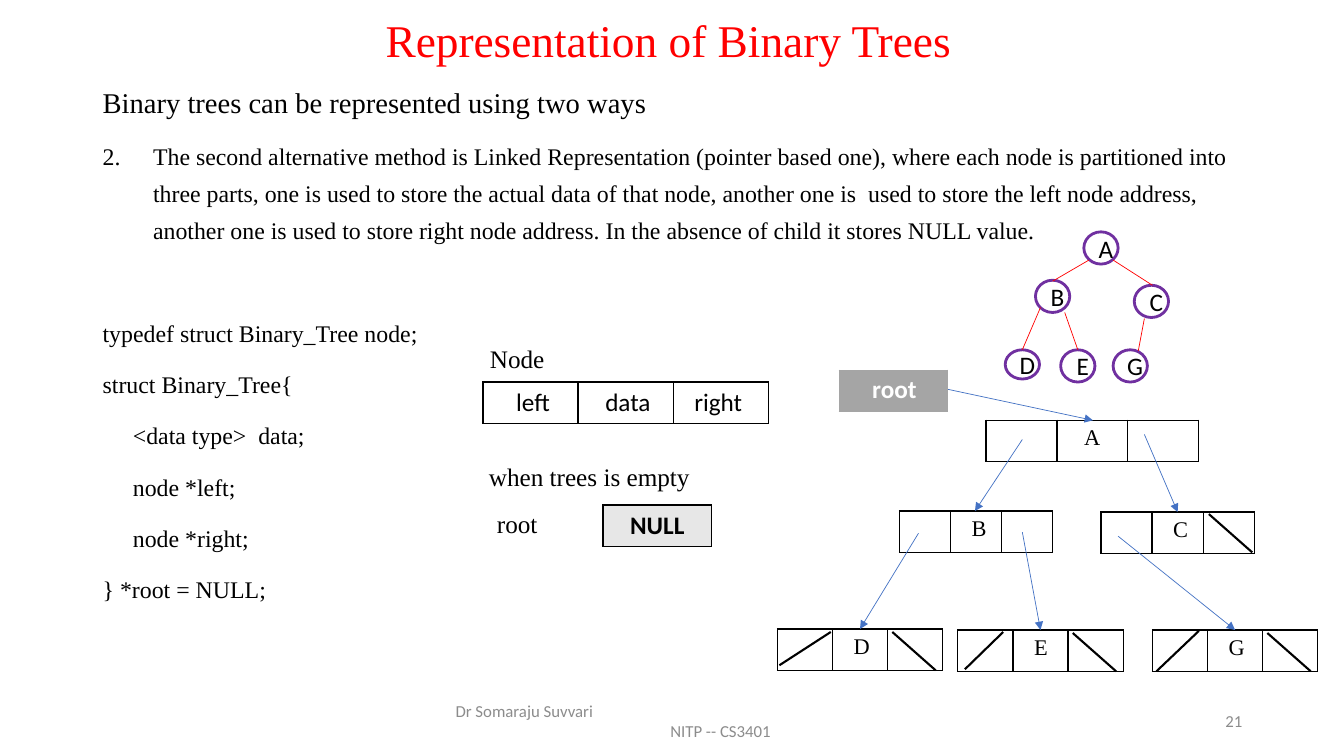
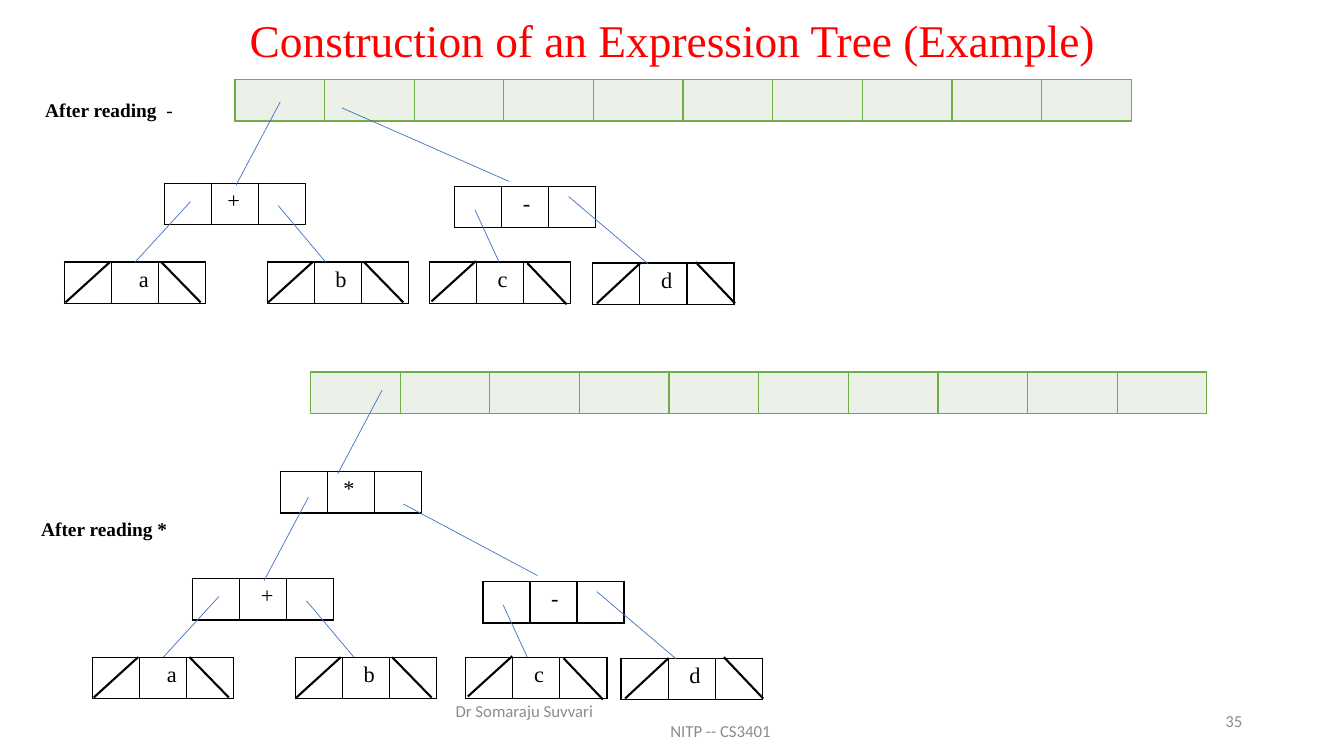
from dataclasses import dataclass

from lxml import etree
from pptx import Presentation
from pptx import util as u
from pptx.dml.color import RGBColor
from pptx.enum import shapes, text
from pptx.oxml import ns


@dataclass(frozen=True)
class Theme:
    """Colours, fonts and type sizes shared by the slides."""
    serif: str = "Times New Roman"
    sans: str = "Calibri"
    black: str = "000000"
    white: str = "FFFFFF"
    red: str = "FF0000"
    purple: str = "7030A0"
    blue: str = "4472C4"
    grey: str = "A5A5A5"
    pale_grey: str = "E7E7E7"
    green: str = "70AD47"
    pale_green: str = "EBF1E9"
    footer: str = "8C8C8C"
    title_size: float = 32.4
    intro_size: float = 20.4
    label_size: float = 18
    body_size: float = 17
    node_size: float = 16
    caption_size: float = 13.8
    footer_size: float = 12


THEME = Theme()
ROW = 0.41
LEFT, CENTER, RIGHT = text.PP_ALIGN.LEFT, text.PP_ALIGN.CENTER, text.PP_ALIGN.RIGHT


def rgb(value):
    """Return the colour object for a hex string."""
    return RGBColor.from_string(value)


def style(paragraph, size, font=THEME.serif, color=THEME.black, bold=False, align=LEFT):
    """Format a paragraph and all of its runs."""
    paragraph.alignment = align
    for run in paragraph.runs:
        run.font.name = font
        run.font.size = u.Pt(size)
        run.font.bold = bold
        run.font.color.rgb = rgb(color)


def indent(paragraph, margin, first=0):
    """Set the left margin and first-line indent of a paragraph."""
    properties = paragraph._p.get_or_add_pPr()
    properties.set("marL", str(u.Inches(margin)))
    properties.set("indent", str(u.Inches(first)))
    return properties


def add_text(slide, box, lines, size, anchor=text.MSO_ANCHOR.TOP, wrap=True, **look):
    """Place a text box with one paragraph per line."""
    shape = slide.shapes.add_textbox(*map(u.Inches, box))
    frame = shape.text_frame
    frame.text = "\n".join(lines)
    frame.word_wrap = wrap
    frame.vertical_anchor = anchor
    for paragraph in frame.paragraphs:
        style(paragraph, size, **look)
    return frame


def add_line(slide, ends, color=THEME.blue, width=0.5, arrow=False):
    """Draw a straight line through x1, y1, x2, y2."""
    line = slide.shapes.add_connector(shapes.MSO_CONNECTOR.STRAIGHT, *map(u.Inches, ends))
    line.line.color.rgb = rgb(color)
    line.line.width = u.Pt(width)
    if arrow:
        etree.SubElement(line.line._get_or_add_ln(), ns.qn("a:tailEnd"), type="triangle")
    etree.SubElement(line._element.spPr, ns.qn("a:effectLst"))


def shifted(ends, dx, dy):
    """Move line ends by an offset."""
    x1, y1, x2, y2 = ends
    return x1 + dx, y1 + dy, x2 + dx, y2 + dy


def add_borders(cell, color, width):
    """Give a cell the same border on its four sides."""
    properties = cell._tc.get_or_add_tcPr()
    for position, side in enumerate(("lnL", "lnR", "lnT", "lnB")):
        border = etree.Element(ns.qn(f"a:{side}"), w=str(u.Pt(width)))
        fill = etree.SubElement(border, ns.qn("a:solidFill"))
        etree.SubElement(fill, ns.qn("a:srgbClr"), val=color)
        properties.insert(position, border)


def add_cells(slide, left, top, width, labels, indents, size=THEME.label_size,
              fill=None, border=THEME.black, border_width=1, **look):
    """Draw a one-row table whose labels start at the given indents."""
    box = map(u.Inches, (left, top, width, ROW))
    table = slide.shapes.add_table(1, len(labels), *box).table
    table.first_row = table.horz_banding = False
    table.rows[0].height = u.Inches(ROW)
    for column, label, gap in zip(table.columns, labels, indents):
        column.width = u.Inches(width / len(labels))
    for cell, label, gap in zip(table.rows[0].cells, labels, indents):
        cell.text = label
        cell.margin_left = u.Inches(0.1 + gap)
        cell.margin_right = 0
        style(cell.text_frame.paragraphs[0], size, **look)
        if fill:
            cell.fill.solid()
            cell.fill.fore_color.rgb = rgb(fill)
        else:
            cell.fill.background()
        add_borders(cell, border, border_width)


def add_node(slide, label, left, top, width, gap=0.11, slashes=()):
    """Draw a linked node, with slashes relative to its corner for null links."""
    add_cells(slide, left, top, width, ("", label, ""), (0, gap, 0), THEME.node_size)
    for slash in slashes:
        add_line(slide, shifted(slash, left, top), THEME.black, 1.5)


def add_frame(presentation, title, title_left, number):
    """Add a blank slide with its title, footer and number."""
    slide = presentation.slides.add_slide(presentation.slide_layouts[6])
    middle = text.MSO_ANCHOR.MIDDLE
    heading = add_text(slide, (title_left, 0.15, 11.5, 0.54), [title], THEME.title_size,
                       middle, color=THEME.red, align=CENTER)
    heading.paragraphs[0].line_spacing = 0.9
    look = {"font": THEME.sans, "color": THEME.footer}
    footer = add_text(slide, (4.42, 6.95, 4.5, 0.4), ["Dr Somaraju Suvvari", "NITP -- CS3401"],
                      THEME.footer_size, middle, **look)
    indent(footer.paragraphs[1], 2.13)
    add_text(slide, (9.42, 6.95, 3, 0.4), [number], THEME.footer_size, middle,
             align=RIGHT, **look)
    return slide


def add_explanation(slide, box):
    """Write the introduction, the numbered point and the code."""
    lines = [
        "Binary trees can be represented using two ways",
        "The second alternative method is Linked Representation (pointer based one), where each "
        "node is partitioned into three parts, one is used to store the actual data of that node, "
        "another one is  used to store the left node address, another one is used to store right "
        "node address. In the absence of child it stores NULL value.",
        "typedef struct Binary_Tree node;",
        "struct Binary_Tree{",
        "<data type>  data;",
        "node *left;",
        "node *right;",
        "} *root = NULL;",
    ]
    paragraphs = add_text(slide, box, lines, THEME.body_size).paragraphs
    for paragraph in paragraphs:
        paragraph.line_spacing = 1.3
        paragraph.space_before = u.Pt(10)
    style(paragraphs[0], THEME.intro_size)
    paragraphs[2].space_before = u.Pt(47)
    numbering = indent(paragraphs[1], 0.5, -0.5)
    etree.SubElement(numbering, ns.qn("a:buAutoNum"), type="arabicPeriod", startAt="2")
    for paragraph in paragraphs[4:7]:
        indent(paragraph, 0.3)


def add_node_layout(slide, left, top):
    """Show the fields of a node and the empty tree."""
    for label, dx, dy in (("Node", 0.01, 0), ("when trees is empty", 0, 1.17),
                          ("root", 0.08, 1.63)):
        add_text(slide, (left + dx, top + dy, 2.21, 0.4), [label], THEME.label_size, wrap=False)
    add_cells(slide, left + 0.04, top + 0.43, 2.83, ("left", "data", "right"),
              (0.23, 0.17, 0.11), font=THEME.sans)
    add_cells(slide, left + 1.23, top + 1.65, 1.08, ("NULL",), (0.17,),
              fill=THEME.pale_grey, font=THEME.sans, bold=True)


def add_circle_tree(slide, left, top):
    """Draw the small tree of circles."""
    circles = (("A", 0.78, 0, 0.32), ("B", 0.3, 0.48, 0.32), ("C", 1.28, 0.53, 0.32),
               ("D", 0, 1.17, 0.29), ("E", 0.55, 1.17, 0.32), ("G", 1.07, 1.17, 0.32))
    for label, dx, dy, height in circles:
        box = map(u.Inches, (left + dx, top + dy, 0.34, height))
        shape = slide.shapes.add_shape(shapes.MSO_SHAPE.OVAL, *box)
        shape.shadow.inherit = False
        shape.fill.background()
        shape.line.color.rgb = rgb(THEME.purple)
        shape.line.width = u.Pt(2)
        frame = shape.text_frame
        frame.text = label
        frame.word_wrap = False
        frame.vertical_anchor = text.MSO_ANCHOR.MIDDLE
        frame.margin_left = u.Inches(0.1)
        frame.margin_right = frame.margin_top = frame.margin_bottom = 0
        style(frame.paragraphs[0], THEME.label_size, font=THEME.sans, align=CENTER)
    for ends in ((0.83, 0.28, 0.47, 0.49), (1.07, 0.28, 1.46, 0.53), (0.35, 0.75, 0.17, 1.17),
                 (0.59, 0.8, 0.72, 1.17), (1.38, 0.86, 1.32, 1.18)):
        add_line(slide, shifted(ends, left, top), THEME.red)


def add_linked_tree(slide, left, top):
    """Draw the tree as linked nodes below its root pointer."""
    right_slash = (1.14, 0.03, 1.57, 0.41)
    nodes = (
        ("A", 2.07, 0.5, 2.11, 0.17, ()),
        ("B", 1.21, 1.4, 1.52, 0.11, ()),
        ("C", 3.21, 1.41, 1.52, 0.11, ((1.07, 0.02, 1.5, 0.4),)),
        ("D", 0, 2.57, 1.64, 0.11, ((0.53, 0.03, 0.02, 0.36), right_slash)),
        ("E", 1.79, 2.58, 1.64, 0.11, ((0.45, 0.02, 0.07, 0.39), right_slash)),
        ("G", 3.72, 2.58, 1.64, 0.11, ((0.46, 0.01, 0.04, 0.41), right_slash)),
    )
    for label, dx, dy, *form in nodes:
        add_node(slide, label, left + dx, top + dy, *form)
    for ends in ((1.68, 0.19, 3.13, 0.5), (2.43, 0.69, 1.96, 1.4), (3.64, 0.64, 3.97, 1.41),
                 (1.4, 1.62, 0.82, 2.57), (2.43, 1.61, 2.61, 2.58), (3.38, 1.65, 4.54, 2.58)):
        add_line(slide, shifted(ends, left, top), arrow=True)
    add_cells(slide, left + 0.61, top, 1.08, ("root",), (0.23,), fill=THEME.grey,
              border=THEME.grey, border_width=0.5, font=THEME.sans, color=THEME.white, bold=True)


def add_stack(slide, left, top, slots=10):
    """Draw the row of stack slots."""
    add_cells(slide, left, top, 8.89, [""] * slots, [0] * slots,
              fill=THEME.pale_green, border=THEME.green)


def add_subtrees(slide, left, top, plus_gap, c_shift=0):
    """Draw the + and - subtrees with the link that enters +."""
    width = 1.4
    slashes = ((0.45, 0, 0.01, 0.4), (0.96, 0, 1.35, 0.4))
    c_slashes = ((0.46, -0.01, 0.02, 0.39), (0.97, 0.01, 1.36, 0.42))
    d_slashes = ((0.47, 0, 0.04, 0.4), (1.02, -0.01, 1.41, 0.4))
    nodes = (("+", 0.99, 0, plus_gap, ()), ("-", 3.87, 0.03, 0.11, ()),
             ("a", 0, 0.78, 0.17, slashes), ("b", 2.01, 0.78, 0.11, slashes),
             ("c", 3.62 + c_shift, 0.78, 0.11, c_slashes), ("d", 5.24, 0.79, 0.11, d_slashes))
    for label, dx, dy, gap, marks in nodes:
        add_node(slide, label, left + dx, top + dy, width, gap, marks)
    for ends in ((2.14, -0.81, 1.7, 0.02), (1.25, 0.18, 0.7, 0.78), (2.12, 0.22, 2.59, 0.78),
                 (4.07, 0.26, 4.31, 0.78), (5, 0.13, 5.79, 0.8)):
        add_line(slide, shifted(ends, left, top))


def add_caption(slide, left, top, label):
    """Write a step caption in bold and return its paragraph."""
    frame = add_text(slide, (left, top, 1.8, 0.3), [label], THEME.caption_size,
                     text.MSO_ANCHOR.MIDDLE, bold=True)
    return frame.paragraphs[0]


def build_representation(presentation):
    """Build the slide on linked representation."""
    slide = add_frame(presentation, "Representation of Binary Trees", 0.88, "21")
    add_explanation(slide, (0.92, 0.69, 11.5, 6.07))
    add_circle_tree(slide, 9.97, 2.3)
    add_node_layout(slide, 4.75, 3.36)
    add_linked_tree(slide, 7.71, 3.67)


def build_expression(presentation):
    """Build the slide on constructing an expression tree."""
    slide = add_frame(presentation, "Construction of an Expression Tree (Example)", 0.92, "35")
    minus = add_caption(slide, 0.35, 0.94, "After reading ")
    minus.add_run().text = " -"
    style(minus, THEME.caption_size, bold=True)
    minus.runs[1].font.bold = False
    add_caption(slide, 0.31, 5.1, "After reading *")
    add_stack(slide, 2.33, 0.79)
    add_subtrees(slide, 0.64, 1.82, 0.06)
    add_stack(slide, 3.08, 3.69)
    add_node(slide, "*", 2.78, 4.68, 1.4, 0.06)
    add_subtrees(slide, 0.92, 5.74, 0.11, 0.08)
    for ends in ((3.39, 1.07, 5.05, 1.8), (3.79, 3.87, 3.35, 4.7), (4, 5, 5.33, 5.71)):
        add_line(slide, ends)


def main():
    """Build and save the presentation."""
    presentation = Presentation()
    presentation.slide_width = u.Inches(13.33)
    presentation.slide_height = u.Inches(7.5)
    build_representation(presentation)
    build_expression(presentation)
    presentation.save("out.pptx")


if __name__ == "__main__":
    main()
